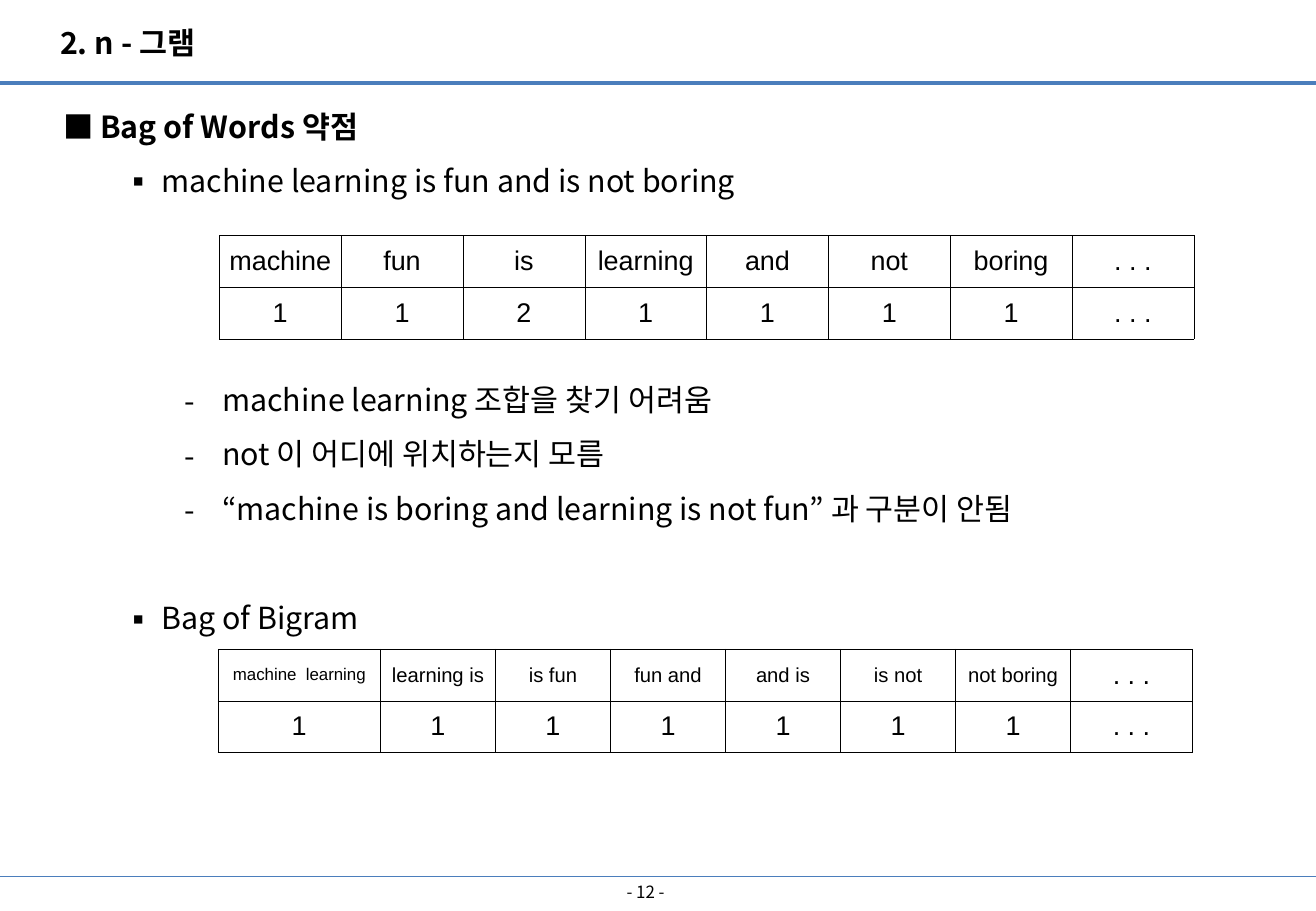
"""Build the n-gram slide on the weaknesses of Bag of Words."""
from lxml import etree
from pptx import Presentation
from pptx.dml.color import RGBColor
from pptx.enum.shapes import MSO_CONNECTOR
from pptx.enum.text import MSO_ANCHOR, MSO_AUTO_SIZE, PP_ALIGN
from pptx.oxml.ns import qn
from pptx.util import Pt

STRAIGHT = MSO_CONNECTOR.STRAIGHT
TOP, MIDDLE = MSO_ANCHOR.TOP, MSO_ANCHOR.MIDDLE
LEFT, CENTER = PP_ALIGN.LEFT, PP_ALIGN.CENTER
NO_AUTOFIT = MSO_AUTO_SIZE.NONE
KOREAN, LATIN = "Noto Sans CJK KR", "Arial"
BLACK, BLUE = "000000", "4B7EBC"
WIDTH, HEIGHT = 780, 540
LINE_PITCH = 32.4
ROW_HEIGHT = 30.6


def color(hex_value):
    """Turn a hex string into a colour."""
    return RGBColor.from_string(hex_value)


def write(paragraph, text, size, face=KOREAN, bold=False, align=LEFT):
    """Add one formatted run to a paragraph."""
    paragraph.alignment = align
    run = paragraph.add_run()
    run.text = text
    for name, value in {"size": Pt(size), "name": face, "bold": bold}.items():
        setattr(run.font, name, value)
    run.font.color.rgb = color(BLACK)
    etree.SubElement(run._r.get_or_add_rPr(), qn("a:ea"), typeface=face)


prs = Presentation()
prs.slide_width, prs.slide_height = Pt(WIDTH), Pt(HEIGHT)
slide = prs.slides.add_slide(prs.slide_layouts[1])

for y, weight in [(49, 2.25), (519.4, 0.75)]:
    rule = slide.shapes.add_connector(STRAIGHT, 0, Pt(y), Pt(WIDTH), Pt(y))
    rule.line.color.rgb = color(BLUE)
    rule.line.width = Pt(weight)
    etree.SubElement(rule._element.spPr, qn("a:effectLst"))

heading, points = slide.placeholders
page_number = slide.shapes.add_textbox(0, 0, 0, 0)
for block, bounds, anchor, inset in [
    (heading, (28.4, 10.8, 300, 28.8), MIDDLE, 0),
    (points, (30.2, 49.4, 711, 334), TOP, 3.6),
    (page_number, (291.6, 519.4, 182, 18.7), MIDDLE, 0),
]:
    for name, value in zip(("left", "top", "width", "height"), bounds):
        setattr(block, name, Pt(value))
    frame_format = {
        "word_wrap": True, "auto_size": NO_AUTOFIT, "vertical_anchor": anchor,
        "margin_left": Pt(7.2), "margin_right": Pt(7.2),
        "margin_top": Pt(inset), "margin_bottom": Pt(inset),
    }
    for name, value in frame_format.items():
        setattr(block.text_frame, name, value)

write(heading.text_frame.paragraphs[0], "2. n - 그램", 18, bold=True)
write(page_number.text_frame.paragraphs[0], "- 12 -", 10, align=CENTER)

bullets = {1: ("▪", 58.3), 2: ("-", 94.3)}
outline = [
    (0, "■ Bag of Words 약점", 0),
    (1, "machine learning is fun and is not boring", 0),
    (2, "machine learning 조합을 찾기 어려움", 3),
    (2, "not 이 어디에 위치하는지 모름", 0),
    (2, "“machine is boring and learning is not fun” 과 구분이 안됨", 0),
    (1, "Bag of Bigram", 1),
]
for index, (level, text, skipped_lines) in enumerate(outline):
    frame = points.text_frame
    point = frame.add_paragraph() if index else frame.paragraphs[0]
    point_format = {
        "level": level, "line_spacing": Pt(LINE_PITCH),
        "space_before": Pt(skipped_lines * LINE_PITCH), "space_after": Pt(0),
    }
    for name, value in point_format.items():
        setattr(point, name, value)
    write(point, text, 18, bold=level == 0)
    props = point._p.get_or_add_pPr()
    if level:
        mark, margin = bullets[level]
        props.set("marL", str(Pt(margin)))
        props.set("indent", str(Pt(-22.5)))
        etree.SubElement(props, qn("a:buFont"), typeface=KOREAN)
        etree.SubElement(props, qn("a:buChar"), char=mark)
    else:
        props.set("marL", "0")
        props.set("indent", "0")
        etree.SubElement(props, qn("a:buNone"))

word_counts = [
    ["machine", "fun", "is", "learning", "and", "not", "boring", ". . ."],
    ["1", "1", "2", "1", "1", "1", "1", ". . ."],
]
bigram_counts = [
    ["machine  learning", "learning is", "is fun", "fun and", "and is",
     "is not", "not boring", ". . ."],
    ["1"] * 7 + [". . ."],
]
cell_format = {
    "vertical_anchor": MIDDLE, "margin_left": 0, "margin_right": 0,
    "margin_top": Pt(3.6), "margin_bottom": Pt(3.6),
}
for counts, left, top, widths, header_sizes in [
    (word_counts, 130, 139.6, [72.2] * 8, [16] * 8),
    (bigram_counts, 129.2, 384.8, [96.3] + [68.2] * 6 + [72.2],
     [10] + [12] * 6 + [16]),
]:
    table = slide.shapes.add_table(
        2, 8, Pt(left), Pt(top), Pt(sum(widths)), Pt(2 * ROW_HEIGHT)).table
    table.first_row = table.horz_banding = False
    for column, width in zip(table.columns, widths):
        column.width = Pt(width)
    for row, texts, sizes in zip(table.rows, counts, (header_sizes, [16] * 8)):
        row.height = Pt(ROW_HEIGHT)
        for cell, text, size in zip(row.cells, texts, sizes):
            for name, value in cell_format.items():
                setattr(cell, name, value)
            write(cell.text_frame.paragraphs[0], text, size, LATIN, align=CENTER)
            cell_props = cell._tc.get_or_add_tcPr()
            for side in ("lnL", "lnR", "lnT", "lnB"):
                border = etree.SubElement(cell_props, qn(f"a:{side}"), w=str(Pt(0.25)))
                ink = etree.SubElement(border, qn("a:solidFill"))
                etree.SubElement(ink, qn("a:srgbClr"), val=BLACK)
            cell.fill.background()

prs.save("out.pptx")
